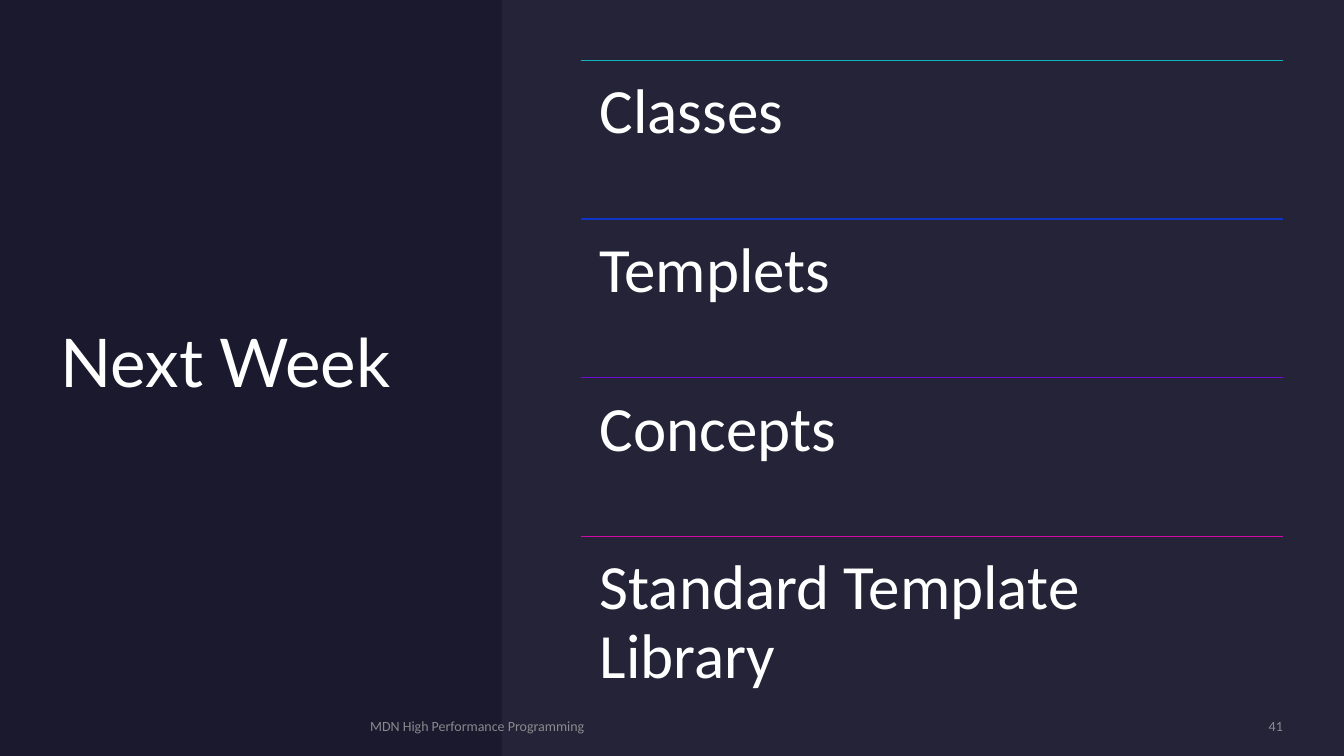
from lxml.etree import SubElement
from pptx import Presentation
from pptx.dml.color import RGBColor
from pptx.enum.shapes import MSO_CONNECTOR as CONN, MSO_SHAPE as SHAPE
from pptx.enum.text import MSO_ANCHOR as ANCHOR, MSO_AUTO_SIZE as AUTO, PP_ALIGN as ALIGN
from pptx.oxml.ns import qn
from pptx.util import Cm, Pt


def paint(fill, color, alpha=None):
    fill.solid()
    fill.fore_color.rgb = RGBColor.from_string(color)
    if alpha is not None:
        clr = next(fill._xPr.iter(qn("a:srgbClr")))
        SubElement(clr, qn("a:alpha"), val=str(alpha * 1000))


class Deck:
    """Holds the style and the current slide."""
    DARK, PANEL, WHITE, GREY = "1B192E", "E4E3F0", "FFFFFF", "A6A6A6"
    HEAD, BODY = "Lato", "Calibri"

    def __init__(self, width, height):
        self.prs = Presentation()
        self.prs.slide_width, self.prs.slide_height = Cm(width), Cm(height)
        self.s = self.prs.slides.add_slide(self.prs.slide_layouts[5])
        paint(self.s.background.fill, self.DARK)

    def set_text(self, sp, text, size, font, color, alpha=None, inset=0,
                 anchor=ANCHOR.MIDDLE, align=ALIGN.LEFT, spacing=1.0, after=0):
        tf = sp.text_frame
        tf.word_wrap, tf.auto_size, tf.vertical_anchor = True, AUTO.NONE, anchor
        tf.margin_left = tf.margin_right = tf.margin_top = tf.margin_bottom = Cm(inset)
        p = tf.paragraphs[0]
        p.alignment, p.line_spacing, p.space_after = align, spacing, Pt(after)
        r = p.add_run()
        r.text = text
        r.font.size, r.font.name = Pt(size), font
        paint(r.font.fill, color, alpha)

    def title(self, text, x, y, w, h):
        sp = self.s.shapes.title
        sp.left, sp.top, sp.width, sp.height = Cm(x), Cm(y), Cm(w), Cm(h)
        self.set_text(sp, text, 48, self.HEAD, self.WHITE, spacing=0.9)

    def text(self, text, x, y, w, h, size, color, **style):
        sp = self.s.shapes.add_textbox(Cm(x), Cm(y), Cm(w), Cm(h))
        self.set_text(sp, text, size, self.BODY, color, **style)

    def rect(self, x, y, w, h, color, alpha=None):
        sp = self.s.shapes.add_shape(SHAPE.RECTANGLE, Cm(x), Cm(y), Cm(w), Cm(h))
        sp.shadow.inherit = False
        sp.line.fill.background()
        paint(sp.fill, color, alpha)
        return sp

    def rule(self, x, y, w, color):
        cn = self.s.shapes.add_connector(CONN.STRAIGHT, Cm(x), Cm(y), Cm(x + w), Cm(y))
        cn.line.width = Pt(1)
        paint(cn.line.fill, color)
        SubElement(cn.element.spPr, qn("a:effectLst"))

    def footer(self, text, x, w, align=ALIGN.LEFT):
        self.text(text, x, 18.08, w, 0.43, 10, self.GREY, alpha=80, align=align, after=6)

    def topic(self, text, color, x, y, w, h):
        self.rule(x, y, w, color)
        self.text(text, x, y, w, h, 45, self.WHITE, inset=0.48,
                  anchor=ANCHOR.TOP, spacing=0.9, after=16)


TOPICS = [("Classes", "12B1BF"), ("Templets", "0F35C6"),
          ("Concepts", "6E0DCD"), ("Standard Template Library", "D40AA8")]


def main():
    width, height, margin, step = 33.87, 19.05, 1.52, 4
    panel_left, topic_left, topic_width = 12.64, 14.63, 17.7
    deck = Deck(width, height)
    backdrop = deck.rect(0, 0, width, height, deck.DARK)
    deck.s.shapes.element.insert(2, backdrop.element)
    deck.title("Next Week", margin, margin, 9.9, 15.4)
    deck.rect(panel_left, 0, width - panel_left, height, deck.PANEL, alpha=5)
    deck.footer("MDN High Performance Programming", 9.33, 17.73)
    deck.footer("41", 27.63, 4.7, ALIGN.RIGHT)
    for i, (name, color) in enumerate(TOPICS):
        deck.topic(name, color, topic_left, margin + i * step, topic_width, step)
    deck.prs.save("out.pptx")


if __name__ == "__main__":
    main()
